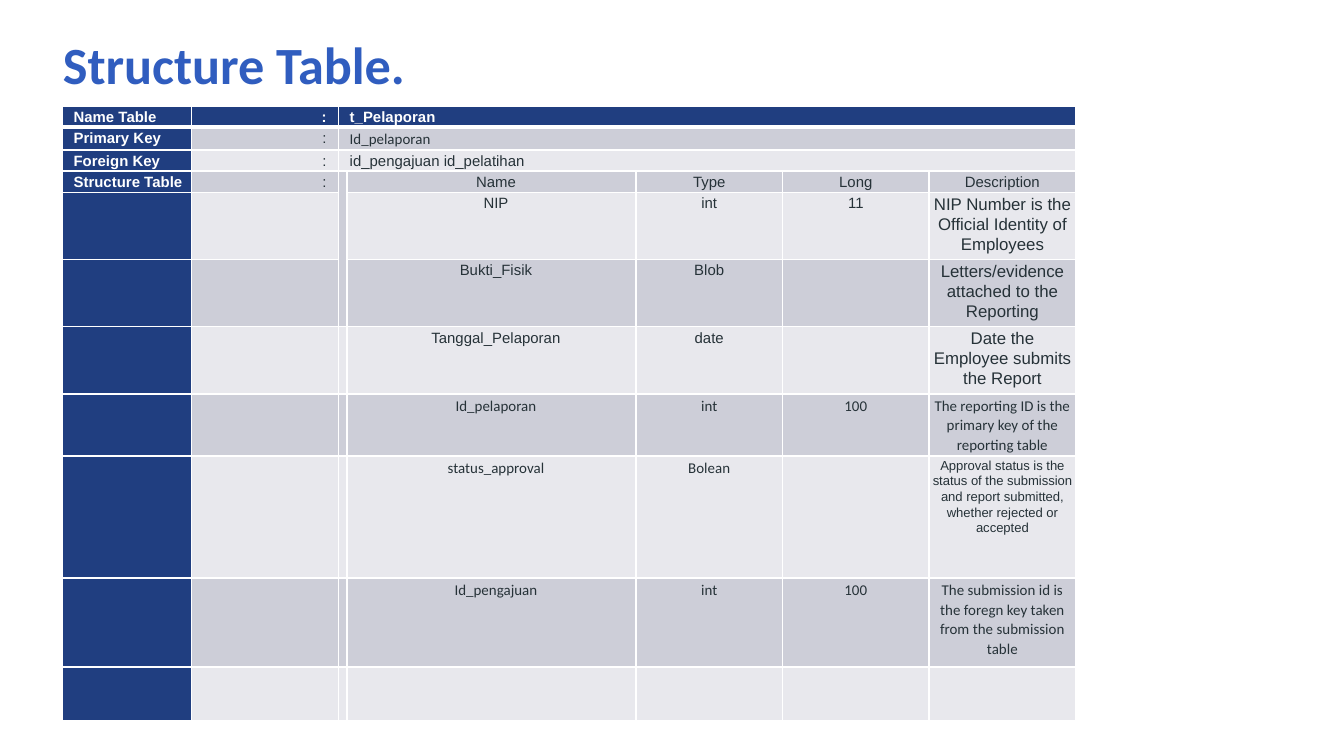
from dataclasses import dataclass

import pptx
import pptx.dml.color
import pptx.enum.text
import pptx.oxml
import pptx.oxml.ns
import pptx.util
from pptx.util import Cm

NAVY, WHITE, INK, TITLE = "203E80", "FFFFFF", "263238", "305DBF"
BANDS = ["E8E8ED", "CDCED8"]
INSET = Cm(0.03)
LEFT, CENTER, RIGHT = (pptx.enum.text.PP_ALIGN.LEFT, pptx.enum.text.PP_ALIGN.CENTER,
                       pptx.enum.text.PP_ALIGN.RIGHT)


@dataclass
class Column:
    width: float
    align: int = CENTER
    left_indent: float = 0
    right_indent: float = 0


@dataclass
class Field:
    name: str
    kind: str
    long: str
    description: str
    height: float
    font: str = "Arial"
    description_font: str = "Arial"
    description_size: int = 9


COLUMNS = [
    Column(2.44, LEFT, 0.18),
    Column(2.78, RIGHT, 0, 0.2),
    Column(0.15, LEFT, 0.18),
    Column(5.46, CENTER, 0.2, 0.03),
    Column(2.77, CENTER, 0.28, 0.28),
    Column(2.77, CENTER, 0.25, 0.25),
    Column(2.77, CENTER, 0.03, 0.03),
]
KEYS = [
    ("Name Table", "t_Pelaporan", "Arial"),
    ("Primary Key", "Id_pelaporan", "Calibri"),
    ("Foreign Key", "id_pengajuan id_pelatihan", "Arial"),
]
FIELDS = [
    Field("Name", "Type", "Long", "Description", 0.4, description_size=8),
    Field("NIP", "int", "11", "NIP Number is the Official Identity of Employees", 1.27),
    Field("Bukti_Fisik", "Blob", "", "Letters/evidence attached to the Reporting", 1.27),
    Field("Tanggal_Pelaporan", "date", "", "Date the Employee submits the Report", 1.27),
    Field("Id_pelaporan", "int", "100",
          "The reporting ID is the primary key of the reporting table",
          1.16, "Calibri", "Calibri", 8),
    Field("status_approval", "Bolean", "",
          "Approval status is the status of the submission and report submitted, "
          "whether rejected or accepted", 2.31, "Calibri", "Arial", 7),
    Field("Id_pengajuan", "int", "100",
          "The submission id is the foregn key taken from the submission table",
          1.68, "Calibri", "Calibri", 8),
    Field("", "", "", "", 1.01),
]
KEY_HEIGHT = 0.4
STRUCTURE_ROW = len(KEYS)


def rgb(color: str) -> pptx.dml.color.RGBColor:
    return pptx.dml.color.RGBColor.from_string(color)


def set_borders(cell, bottom: float) -> None:
    tc_pr = cell._tc.get_or_add_tcPr()
    for i, (side, width) in enumerate(zip("LRTB", [1, 1, 1, bottom])):
        tc_pr.insert(i, pptx.oxml.parse_xml(
            f'<a:ln{side} {pptx.oxml.ns.nsdecls("a")} w="{pptx.util.Pt(width)}">'
            f'<a:solidFill><a:srgbClr val="{WHITE}"/></a:solidFill></a:ln{side}>'))


def style_cell(cell, row: int, col: int) -> None:
    cell.fill.solid()
    cell.fill.fore_color.rgb = rgb(NAVY if row == 0 or col == 0 else BANDS[row % 2])
    cell.margin_left = cell.margin_right = cell.margin_top = cell.margin_bottom = INSET
    set_borders(cell, bottom=3 if row == 0 else 1)


def write(cell, row: int, col: int, text: str, font: str = "Arial", size: int = 8) -> None:
    if not text:
        return
    column = COLUMNS[col]
    strong = row == 0 or col == 0
    cell.text = text
    p = cell.text_frame.paragraphs[0]
    p.alignment = column.align
    p.line_spacing = 1.07
    p_pr = p._p.get_or_add_pPr()
    p_pr.set("marL", str(Cm(column.left_indent)))
    p_pr.set("marR", str(Cm(column.right_indent)))
    p_pr.set("indent", "0")
    p.font.name, p.font.size, p.font.bold = font, pptx.util.Pt(size), strong
    p.font.color.rgb = rgb(WHITE if strong else INK)


def add_structure_table(s) -> None:
    heights = [KEY_HEIGHT] * len(KEYS) + [f.height for f in FIELDS]
    widths = [c.width for c in COLUMNS]
    table = s.shapes.add_table(len(heights), len(widths), Cm(1.18), Cm(2),
                               Cm(sum(widths)), Cm(sum(heights))).table
    for row, height in enumerate(heights):
        table.rows[row].height = Cm(height)
        for col, width in enumerate(widths):
            table.columns[col].width = Cm(width)
            style_cell(table.cell(row, col), row, col)

    for row, (label, value, font) in enumerate(KEYS):
        table.cell(row, 2).merge(table.cell(row, len(widths) - 1))
        write(table.cell(row, 0), row, 0, label)
        write(table.cell(row, 1), row, 1, ":")
        write(table.cell(row, 2), row, 2, value, font)

    write(table.cell(STRUCTURE_ROW, 0), STRUCTURE_ROW, 0, "Structure Table")
    write(table.cell(STRUCTURE_ROW, 1), STRUCTURE_ROW, 1, ":")
    table.cell(STRUCTURE_ROW, 2).merge(table.cell(STRUCTURE_ROW + 2, 2))
    for row, field in enumerate(FIELDS, STRUCTURE_ROW):
        for col, text in enumerate([field.name, field.kind, field.long], 3):
            write(table.cell(row, col), row, col, text, field.font)
        write(table.cell(row, 6), row, 6, field.description,
              field.description_font, field.description_size)


def add_title(s, text: str) -> None:
    tf = s.shapes.add_textbox(Cm(0.94), Cm(0), Cm(18.85), Cm(2.39)).text_frame
    tf.word_wrap = True
    tf.vertical_anchor = pptx.enum.text.MSO_ANCHOR.MIDDLE
    tf.margin_left = tf.margin_right = tf.margin_top = tf.margin_bottom = Cm(0.25)
    p = tf.paragraphs[0]
    p.text = text
    p.font.name, p.font.size, p.font.bold = "Calibri", pptx.util.Pt(28), True
    p.font.color.rgb = rgb(TITLE)


def main() -> None:
    prs = pptx.Presentation()
    prs.slide_width, prs.slide_height = Cm(25.4), Cm(14.29)
    s = prs.slides.add_slide(prs.slide_layouts[6])
    add_structure_table(s)
    add_title(s, "Structure Table.")
    prs.save("out.pptx")


if __name__ == "__main__":
    main()
